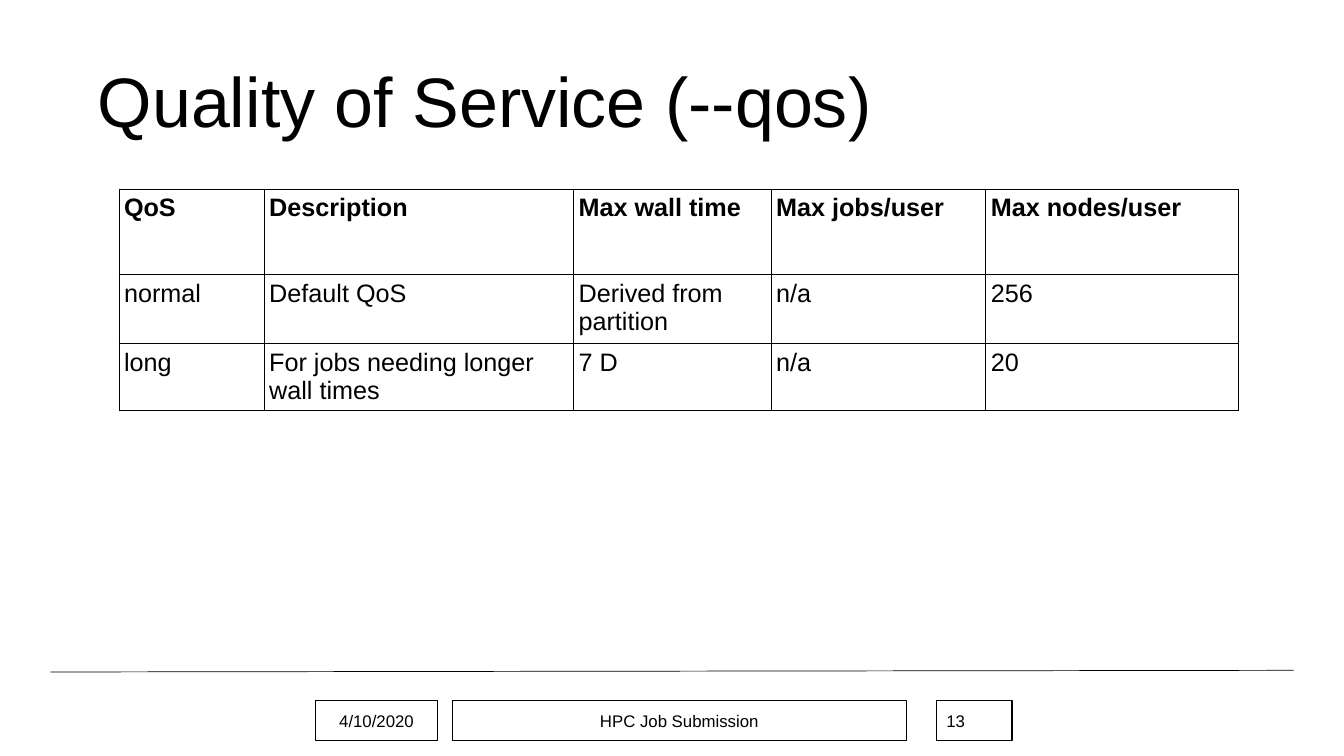
from dataclasses import dataclass

from lxml.etree import SubElement
from pptx import Presentation
from pptx.dml.color import RGBColor
from pptx.enum.shapes import MSO_CONNECTOR, MSO_SHAPE
from pptx.enum.text import MSO_ANCHOR, MSO_AUTO_SIZE, PP_ALIGN
from pptx.oxml import parse_xml
from pptx.oxml.ns import nsdecls, qn
from pptx.util import Pt


@dataclass(frozen=True)
class Theme:
    font: str = "Arial"
    ink: str = "000000"
    title: float = 50
    table: float = 18
    footer: float = 12
    hairline: float = 0.5
    frame: float = 0.75


THEME = Theme()
INK = RGBColor.from_string(THEME.ink)

QOS_ROWS = [
    ["QoS", "Description", "Max wall time", "Max jobs/user", "Max nodes/user"],
    ["normal", "Default QoS", "Derived from partition", "n/a", "256"],
    ["long", "For jobs needing longer wall times", "7 D", "n/a", "20"],
]
COLUMN_WIDTHS = [103.7, 221, 141.1, 153.4, 180.7]
ROW_HEIGHTS = [61.2, 49, 29.5]

# Text, offset from the left of the footer, width, alignment
FOOTER_BOXES = [
    ("4/10/2020", 0, 87.1, PP_ALIGN.CENTER),
    ("HPC Job Submission", 97.9, 324, PP_ALIGN.CENTER),
    ("13", 443.5, 54, PP_ALIGN.LEFT),
]


def add_span(para, text, size, bold=False):
    span = para.add_run()
    span.text = text
    span.font.name = THEME.font
    span.font.size = Pt(size)
    span.font.bold = bold
    span.font.color.rgb = INK


def place_title(page, text, left, top, width, height):
    title = page.shapes.title
    title.left, title.top = Pt(left), Pt(top)
    title.width, title.height = Pt(width), Pt(height)
    frame = title.text_frame
    frame.word_wrap = True
    frame.auto_size = MSO_AUTO_SIZE.NONE
    frame.vertical_anchor = MSO_ANCHOR.MIDDLE
    para = frame.paragraphs[0]
    para.alignment = PP_ALIGN.LEFT
    para.line_spacing = 0.9
    add_span(para, text, THEME.title)


def outline_cell(cell):
    properties = cell._tc.get_or_add_tcPr()
    for side in ("lnL", "lnR", "lnT", "lnB"):
        properties.append(parse_xml(
            f'<a:{side} {nsdecls("a")} w="{Pt(THEME.hairline)}"><a:solidFill>'
            f'<a:srgbClr val="{THEME.ink}"/></a:solidFill></a:{side}>'))


def add_qos_table(page, left, top):
    table = page.shapes.add_table(
        len(QOS_ROWS), len(COLUMN_WIDTHS), Pt(left), Pt(top),
        Pt(sum(COLUMN_WIDTHS)), Pt(sum(ROW_HEIGHTS))).table
    table.first_row = table.horz_banding = False
    for column, width in zip(table.columns, COLUMN_WIDTHS):
        column.width = Pt(width)
    for index, (row, height, texts) in enumerate(zip(table.rows, ROW_HEIGHTS, QOS_ROWS)):
        row.height = Pt(height)
        for cell, text in zip(row.cells, texts):
            cell.margin_left = cell.margin_right = Pt(3.6)
            cell.margin_top = cell.margin_bottom = Pt(3.6)
            outline_cell(cell)
            cell.fill.background()
            add_span(cell.text_frame.paragraphs[0], text, THEME.table, bold=index == 0)


def add_footer_rule(page, left, top, width, rise):
    rule = page.shapes.add_connector(
        MSO_CONNECTOR.STRAIGHT, Pt(left), Pt(top), Pt(left + width), Pt(top - rise))
    rule.line.color.rgb = INK
    rule.line.width = Pt(THEME.hairline)
    SubElement(rule._element.spPr, qn("a:effectLst"))


def add_footer(page, left, top, height):
    for text, offset, width, alignment in FOOTER_BOXES:
        box = page.shapes.add_shape(
            MSO_SHAPE.RECTANGLE, Pt(left + offset), Pt(top), Pt(width), Pt(height))
        box.shadow.inherit = False
        box.fill.background()
        box.line.color.rgb = INK
        box.line.width = Pt(THEME.frame)
        frame = box.text_frame
        frame.word_wrap = True
        frame.vertical_anchor = MSO_ANCHOR.MIDDLE
        para = frame.paragraphs[0]
        para.alignment = alignment
        add_span(para, text, THEME.footer)


def main():
    deck = Presentation()
    deck.slide_width, deck.slide_height = Pt(960), Pt(540)
    page = deck.slides.add_slide(deck.slide_layouts.get_by_name("Title Only"))
    add_footer_rule(page, 36, 480, 888, 1.2)
    place_title(page, "Quality of Service (--qos)", 62.6, 23, 828, 104.4)
    add_qos_table(page, 85, 135)
    add_footer(page, 225.4, 500.4, 28.8)
    deck.save("out.pptx")


if __name__ == "__main__":
    main()
